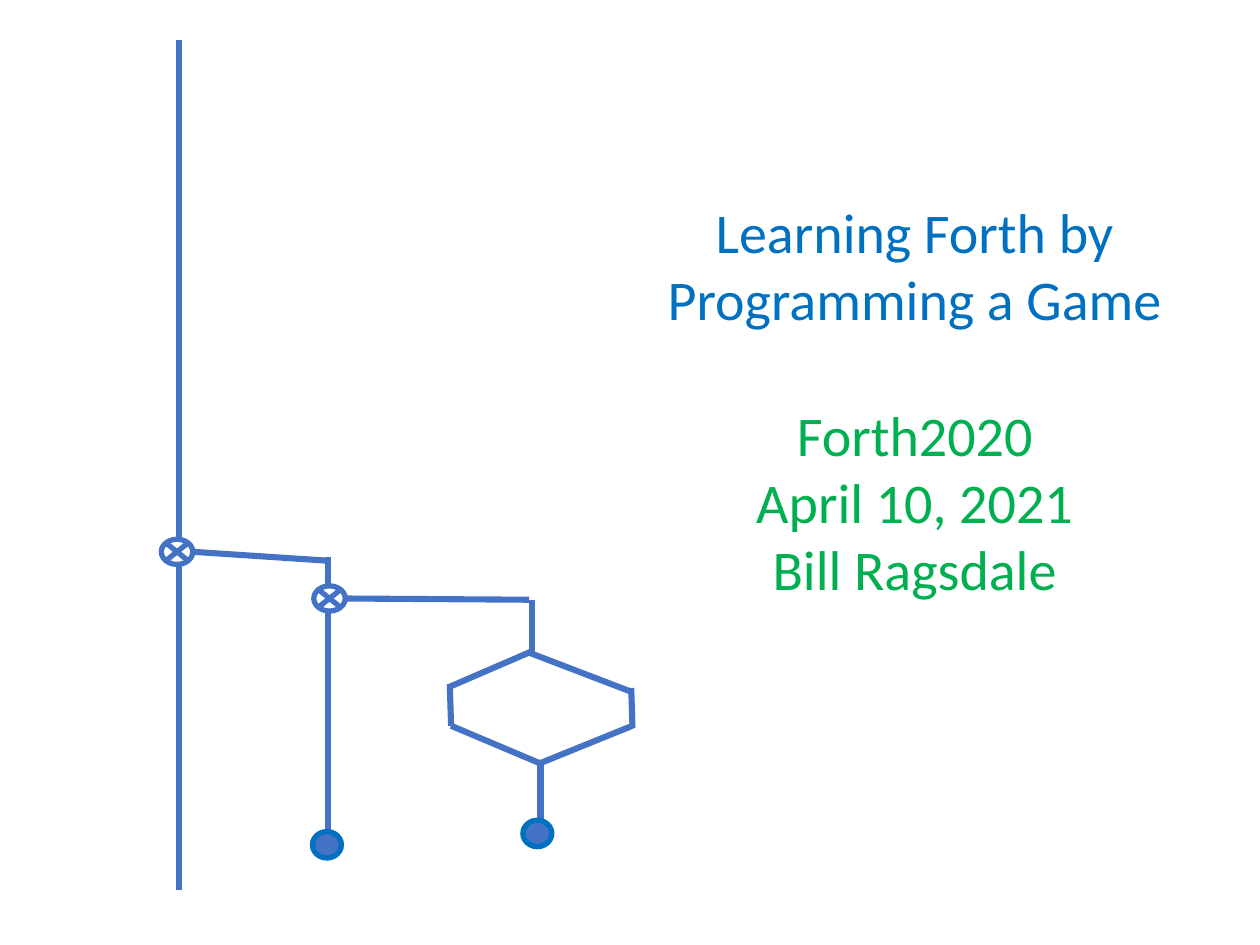
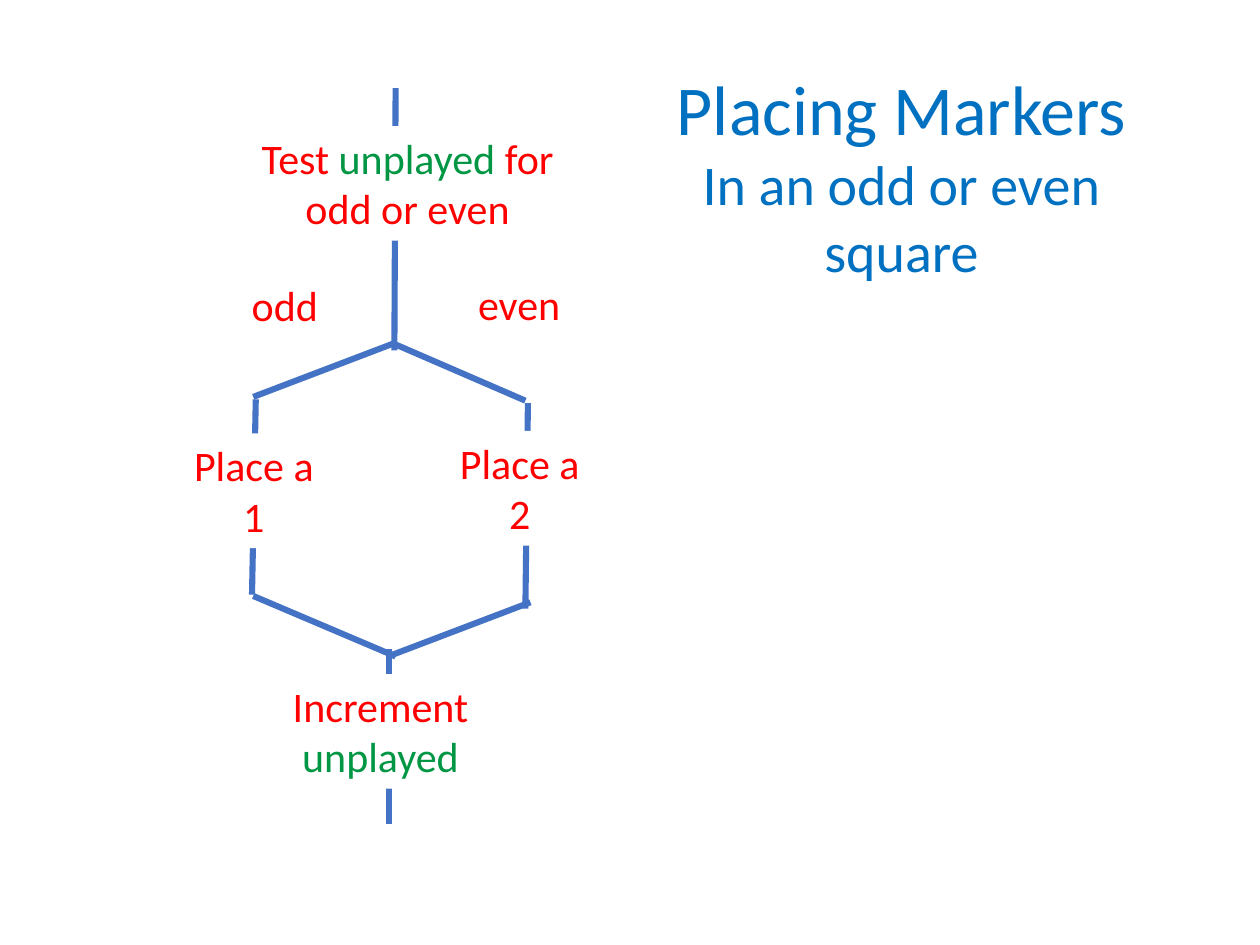
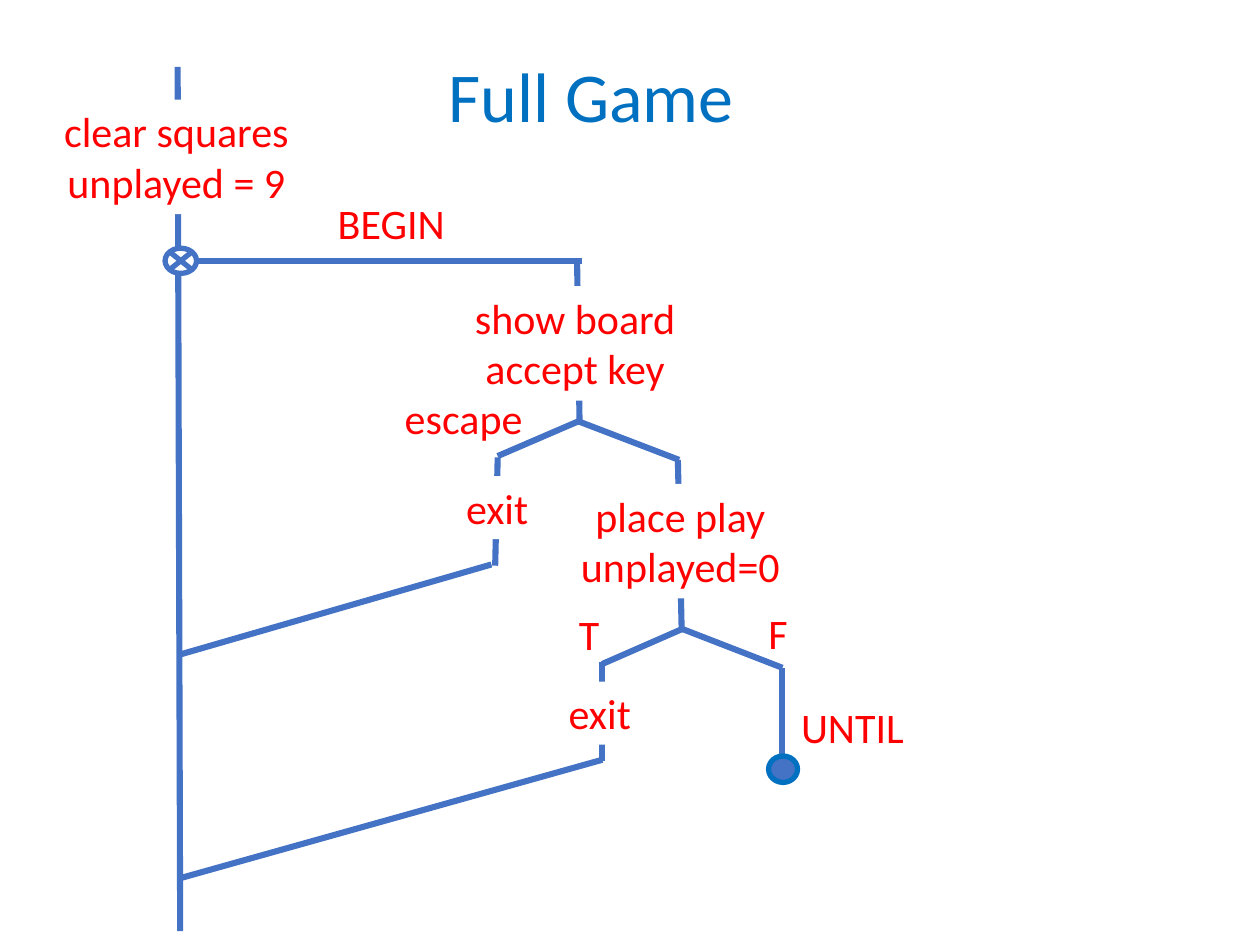
from dataclasses import dataclass
from typing import NamedTuple

from lxml.etree import SubElement
from pptx import Presentation
from pptx.dml.color import RGBColor
from pptx.enum.shapes import MSO_CONNECTOR, MSO_SHAPE
from pptx.enum.text import MSO_ANCHOR, MSO_AUTO_SIZE, PP_ALIGN
from pptx.oxml.ns import qn
from pptx.slide import Slide
from pptx.util import Inches, Pt

FONT = "Calibri"
WHITE = "FFFFFF"
WIRE = "4472C4"
BLUE = "0070C0"
RED = "FF0000"
GREEN = "00B050"
LEAF = "009644"


class Run(NamedTuple):
    text: str
    color: str = RED
    size: int = 24


class Row(NamedTuple):
    runs: tuple[Run, ...]
    gap: float = 0


class Line(NamedTuple):
    x1: float
    y1: float
    x2: float
    y2: float


class Mark(NamedTuple):
    left: float
    top: float


@dataclass(frozen=True)
class Style:
    kind: MSO_SHAPE
    width: float
    height: float
    fill: str
    edge: str


@dataclass(frozen=True)
class Label:
    left: float
    top: float
    width: float
    height: float
    rows: tuple[Row, ...]
    solid: bool = False


@dataclass(frozen=True)
class Page:
    lines: tuple[Line, ...]
    rings: tuple[Mark, ...]
    dots: tuple[Mark, ...]
    labels: tuple[Label, ...]


RING = Style(MSO_SHAPE.FLOWCHART_SUMMING_JUNCTION, 0.25, 0.2, WHITE, WIRE)
DOT = Style(MSO_SHAPE.OVAL, 0.23, 0.21, WIRE, BLUE)
ONE = 0.5
TWO = 0.91


def tint(code: str) -> RGBColor:
    return RGBColor.from_string(code)


def row(text: str, color: str = RED, size: int = 24, gap: float = 0) -> Row:
    return Row((Run(text, color, size),), gap)


def plain(*texts: str) -> tuple[Row, ...]:
    return tuple(row(text) for text in texts)


def head(text: str) -> Row:
    return row(text, BLUE, 40)


def draw_line(slide: Slide, line: Line) -> None:
    wire = slide.shapes.add_connector(
        MSO_CONNECTOR.STRAIGHT, *(Inches(value) for value in line))
    wire.line.color.rgb = tint(WIRE)
    wire.line.width = Pt(3.5)
    SubElement(wire.element.spPr, qn("a:effectLst"))


def draw_mark(slide: Slide, mark: Mark, style: Style) -> None:
    shape = slide.shapes.add_shape(
        style.kind, Inches(mark.left), Inches(mark.top),
        Inches(style.width), Inches(style.height))
    shape.shadow.inherit = False
    shape.fill.solid()
    shape.fill.fore_color.rgb = tint(style.fill)
    shape.line.color.rgb = tint(style.edge)
    shape.line.width = Pt(3)


def draw_label(slide: Slide, label: Label) -> None:
    box = tuple(Inches(value) for value in
                (label.left, label.top, label.width, label.height))
    if label.solid:
        shape = slide.shapes.add_shape(MSO_SHAPE.RECTANGLE, *box)
        shape.shadow.inherit = False
        shape.fill.solid()
        shape.fill.fore_color.rgb = tint(WHITE)
        shape.line.fill.background()
    else:
        shape = slide.shapes.add_textbox(*box)
    frame = shape.text_frame
    frame.word_wrap = True
    frame.auto_size = MSO_AUTO_SIZE.SHAPE_TO_FIT_TEXT
    frame.vertical_anchor = MSO_ANCHOR.TOP
    for index, item in enumerate(label.rows):
        para = frame.add_paragraph() if index else frame.paragraphs[0]
        para.alignment = PP_ALIGN.CENTER
        para.space_before = Pt(item.gap)
        for part in item.runs:
            run = para.add_run()
            run.text = part.text
            run.font.name = FONT
            run.font.size = Pt(part.size)
            run.font.color.rgb = tint(part.color)


def draw_page(slide: Slide, page: Page) -> None:
    for line in page.lines:
        draw_line(slide, line)
    for mark in page.rings:
        draw_mark(slide, mark, RING)
    for mark in page.dots:
        draw_mark(slide, mark, DOT)
    for label in page.labels:
        draw_label(slide, label)


COVER = Page(
    lines=(
        Line(1.42, 0.32, 1.42, 7.06),
        Line(2.6, 4.45, 1.54, 4.38),
        Line(2.6, 4.42, 2.6, 6.62),
        Line(4.2, 4.76, 2.74, 4.75),
        Line(4.22, 4.76, 4.22, 5.19),
        Line(5.01, 5.49, 4.2, 5.18),
        Line(3.57, 5.45, 4.22, 5.17),
        Line(3.58, 5.76, 3.57, 5.43),
        Line(5.02, 5.78, 5.01, 5.46),
        Line(4.28, 6.06, 5.02, 5.76),
        Line(4.29, 6.06, 3.58, 5.76),
        Line(4.29, 6.06, 4.29, 6.62),
    ),
    rings=(Mark(1.28, 4.28), Mark(2.49, 4.65)),
    dots=(Mark(4.15, 6.51), Mark(2.48, 6.6)),
    labels=(
        Label(5.07, 1.52, 4.38, 3.33, (
            row("Learning Forth by Programming a Game", BLUE, 32),
            row("Forth2020", GREEN, 32, 39),
            row("April 10, 2021", GREEN, 32),
            row("Bill Ragsdale", GREEN, 32),
        )),
    ),
)

PLACING = Page(
    lines=(
        Line(3.14, 0.7, 3.13, 2.78),
        Line(2.01, 3.15, 3.14, 2.72),
        Line(4.17, 3.18, 3.13, 2.73),
        Line(2, 4.72, 2.03, 3.17),
        Line(4.17, 4.83, 4.19, 3.2),
        Line(3.14, 5.21, 2.01, 4.73),
        Line(3.08, 5.21, 4.21, 4.78),
        Line(3.09, 6.54, 3.09, 5.15),
    ),
    rings=(),
    dots=(),
    labels=(
        Label(5.18, 0.47, 3.95, 1.85, (
            head("Placing Markers"),
            row("In an odd or even square", BLUE, 32),
        )),
        Label(1.57, 1, 3.33, TWO, (
            Row((Run("Test "), Run("unplayed", LEAF), Run(" for"))),
            row("odd or even"),
        ), True),
        Label(1.33, 3.44, 1.37, TWO, plain("Place a", "1"), True),
        Label(3.44, 3.42, 1.37, TWO, plain("Place a", "2"), True),
        Label(1.86, 5.35, 2.32, TWO, (
            Row((Run("Increment "), Run("unplayed", LEAF))),
        ), True),
        Label(1.75, 2.17, 1.02, ONE, plain("odd")),
        Label(3.61, 2.16, 1.02, ONE, plain("even")),
    ),
)

GAME = Page(
    lines=(
        Line(1.41, 0.53, 1.43, 7.39),
        Line(4.62, 2.07, 1.57, 2.07),
        Line(4.58, 2.07, 4.6, 3.37),
        Line(5.39, 3.65, 4.58, 3.34),
        Line(3.95, 3.62, 4.6, 3.34),
        Line(3.93, 4.49, 3.95, 3.63),
        Line(1.41, 5.2, 3.9, 4.48),
        Line(5.41, 4.99, 5.38, 3.65),
        Line(6.21, 5.3, 5.41, 4.99),
        Line(4.78, 5.27, 5.42, 4.99),
        Line(4.78, 6.04, 4.78, 5.25),
        Line(4.78, 6.03, 1.43, 6.97),
        Line(6.21, 6.04, 6.21, 5.3),
    ),
    rings=(Mark(1.31, 1.97),),
    dots=(Mark(6.1, 6),),
    labels=(
        Label(0.78, 0.37, 7.82, 0.77, (head("Full Game"),)),
        Label(0.35, 0.79, 2.1, TWO,
              plain("clear squares", "unplayed = 9"), True),
        Label(2.26, 1.52, 1.69, ONE, plain("BEGIN"), True),
        Label(3.41, 2.27, 2.31, TWO,
              plain("show board", "accept key"), True),
        Label(3.08, 3.07, 1.2, ONE, plain("escape")),
        Label(3.3, 3.78, 1.29, ONE, plain("exit"), True),
        Label(4.42, 3.84, 1.96, TWO,
              plain("place play", "unplayed=0"), True),
        Label(4.22, 4.78, 0.91, ONE, plain("T")),
        Label(5.72, 4.77, 0.91, ONE, plain("F")),
        Label(4.14, 5.41, 1.24, ONE, plain("exit"), True),
        Label(6.12, 5.52, 1.29, ONE, plain("UNTIL")),
    ),
)

deck = Presentation()
deck.slide_width = Inches(10)
deck.slide_height = Inches(7.5)
for page in (COVER, PLACING, GAME):
    draw_page(deck.slides.add_slide(deck.slide_layouts[6]), page)
deck.save("out.pptx")
